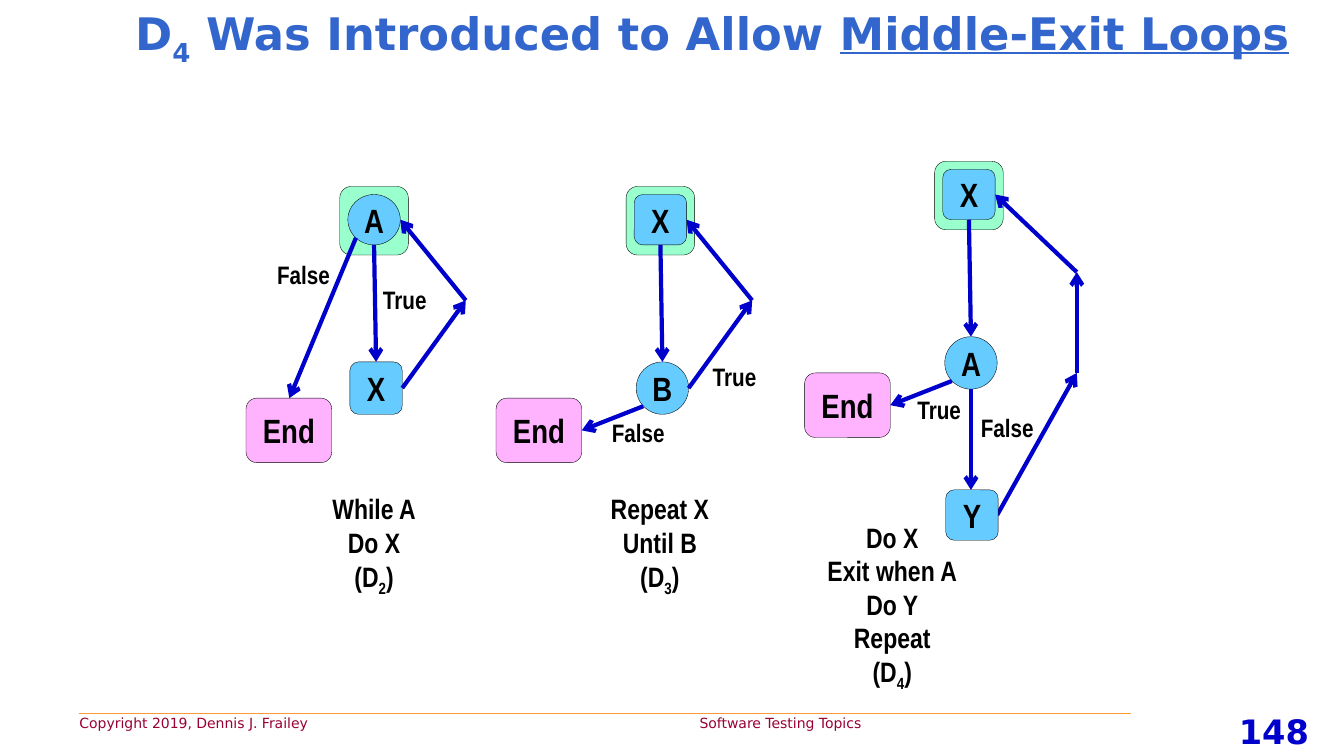
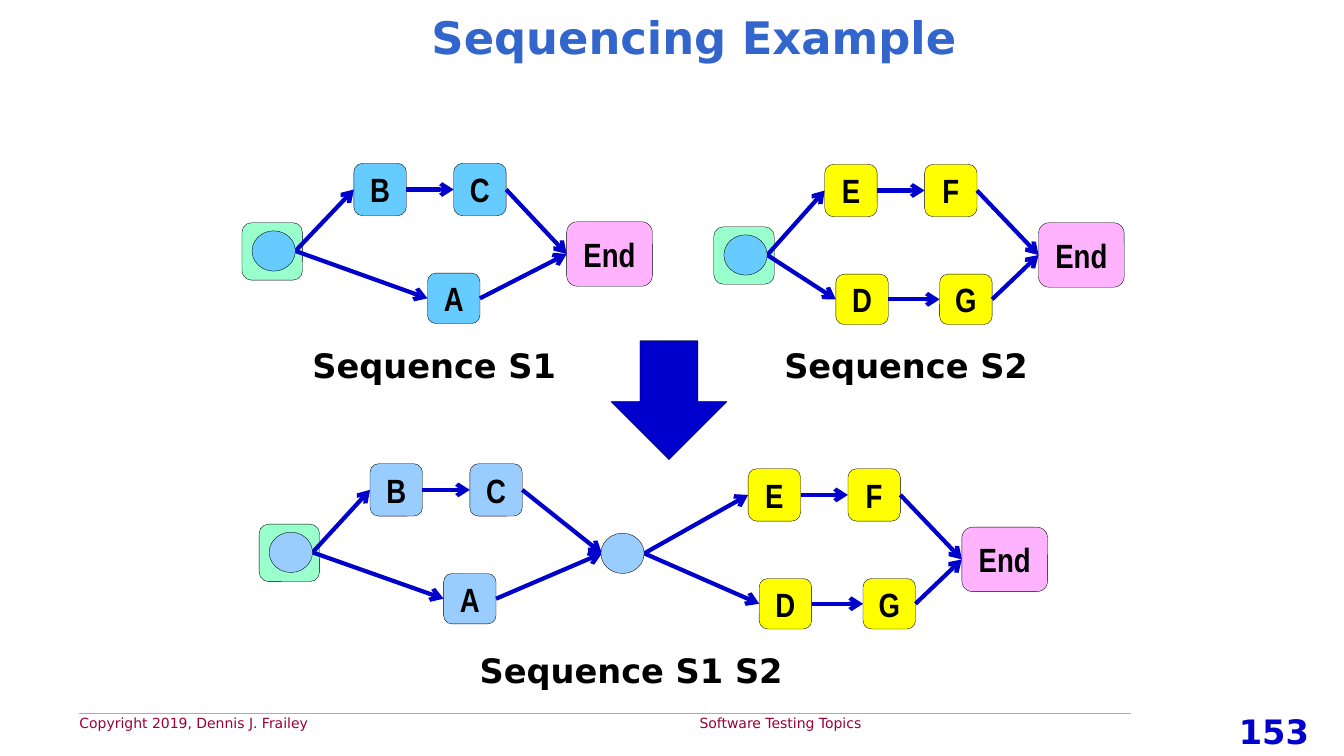
from dataclasses import dataclass
from typing import Any

from lxml.etree import SubElement as Sub
from pptx import Presentation as Deck
from pptx.dml.color import RGBColor as RGB
from pptx.enum.shapes import MSO_CONNECTOR as Wire, MSO_SHAPE as Form
from pptx.enum.text import MSO_ANCHOR as Anchor, PP_ALIGN as Align
from pptx.oxml.ns import qn
from pptx.util import Pt

PX = 9144
BLACK = RGB(0, 0, 0)
NAVY = RGB(0, 0, 0xCC)
BLUE = RGB(0x33, 0x66, 0xCC)
WINE = RGB(0x99, 0, 0x33)
GOLD = RGB(0xFF, 0x99, 0x33)
MINT = RGB(0x99, 0xFF, 0xCC)
PINK = RGB(0xFF, 0xB3, 0xFF)
SKY = RGB(0x66, 0xCC, 0xFF)
PALE = RGB(0x99, 0xCC, 0xFF)
LEMON = RGB(0xFF, 0xFF, 0)

WIDE, SLIM = "DejaVu Sans", "Arial Narrow"
TITLE = dict(name=WIDE, size=Pt(32), bold=True, color=BLUE)
NOTE = dict(name=WIDE, size=Pt(10), color=WINE)
PAGE = dict(name=WIDE, size=Pt(24), bold=True, color=NAVY)
HEAD = dict(PAGE, color=BLACK)
NODE = dict(name=SLIM, size=Pt(24), bold=True, color=BLACK)
TAG = dict(NODE, size=Pt(18))
CODE = dict(NODE, size=Pt(20))
LOW = dict(sub=True)


def style(run, form):
    for key, val in form.items():
        if key == "color":
            run.font.color.rgb = val
        elif key == "sub":
            run._r.get_or_add_rPr().set("baseline", "-25000")
        else:
            setattr(run.font, key, val)


def write(frame, lines, form, align=Align.LEFT, tab=0):
    for num, line in enumerate(lines):
        par = frame.add_paragraph() if num else frame.paragraphs[0]
        par.alignment = align
        parts, pad = line if isinstance(line, tuple) else (line, 0)
        prop = par._p.get_or_add_pPr()
        if pad:
            prop.set("marR", str(pad * PX))
        if tab:
            stops = Sub(prop, qn("a:tabLst"))
            Sub(stops, qn("a:tab"), pos=str(tab * PX), algn="l")
        for part in [parts] if isinstance(parts, str) else parts:
            words, more = (part, {}) if isinstance(part, str) else part
            run = par.add_run()
            run.text = words
            style(run, form | more)


@dataclass
class Pen:
    slide: Any
    x: int = 0
    y: int = 0

    def spot(self, x, y):
        return (self.x + x) * PX, (self.y + y) * PX

    def shape(self, kind, x, y, w, h, fill, words=""):
        item = self.slide.shapes.add_shape(kind, *self.spot(x, y), w * PX, h * PX)
        item.shadow.inherit = False
        item.fill.solid()
        item.fill.fore_color.rgb = fill
        item.line.color.rgb = BLACK
        item.line.width = Pt(0.25)
        if words:
            frame = item.text_frame
            frame.word_wrap = False
            frame.vertical_anchor = Anchor.MIDDLE
            for side in ("left", "right", "top", "bottom"):
                setattr(frame, f"margin_{side}", 0)
            write(frame, [words], NODE, Align.CENTER)

    def text(self, x, y, w, h, lines, form, wrap=False, anchor=Anchor.TOP, **more):
        item = self.slide.shapes.add_textbox(*self.spot(x, y), w * PX, h * PX)
        frame = item.text_frame
        frame.word_wrap = wrap
        frame.vertical_anchor = anchor
        write(frame, lines, form, **more)

    def line(self, start, stop, color=NAVY, width=3, arrow=True):
        item = self.slide.shapes.add_connector(
            Wire.STRAIGHT, *self.spot(*start), *self.spot(*stop))
        item.line.color.rgb = color
        item.line.width = Pt(width)
        prop = item._element.spPr
        if arrow:
            Sub(prop.get_or_add_ln(), qn("a:tailEnd"), type="arrow")
        Sub(prop, qn("a:effectLst"))

    def route(self, *spots):
        for start, stop in zip(spots, spots[1:]):
            self.line(start, stop)


def base(deck, title, left, page):
    pen = Pen(deck.slides.add_slide(deck.slide_layouts[6]))
    pen.line((78, 708), (1122, 708), GOLD, 0.75, False)
    pen.text(69, 704, 1064, 27,
             ["Copyright 2019, Dennis J. Frailey\tSoftware Testing Topics"],
             NOTE, wrap=True, tab=615)
    pen.text(1193, 700, 141, 50, [page], PAGE, wrap=True, align=Align.CENTER)
    pen.text(left, 0, 1187, 73, [title], TITLE, wrap=True,
             anchor=Anchor.MIDDLE, align=Align.CENTER)
    return pen


def loop(slide, x, y, head, foot, end, leave, back, tags):
    pen = Pen(slide, x, y)
    pen.shape(Form.ROUNDED_RECTANGLE, 0, 0, 68, 68, MINT)
    pen.shape(Form.ROUNDED_RECTANGLE, end, 210, 85, 64, PINK, "End")
    for (kind, name), left, top, high in ((head, 8, 8, 50), (foot, 10, 174, 52)):
        pen.shape(kind, left, top, 52, high, SKY, name)
    pen.route(*back, (60, 33))
    pen.route(*leave)
    pen.route((34, 58), (36, 174))
    for (name, left, top), wide in zip(tags, (67, 78)):
        pen.text(left, top, wide, 40, [name], TAG)
    return pen


def code(pen, x, y, w, h, lines, mark):
    last = ["(D", (mark, LOW), ")"]
    pen.text(x, y, w, h, lines + [last], CODE, wrap=True, align=Align.CENTER)


def exits(deck):
    title = ["D", ("4", LOW), " Was Introduced to Allow ",
             ("Middle-Exit Loops", dict(underline=True))]
    slide = base(deck, title, 113, "148").slide
    ring, card = Form.OVAL, Form.ROUNDED_RECTANGLE
    side = (17, 218), (-44, 242)
    turn = (62, 200), (125, 113)

    pen = loop(slide, 337, 185, (ring, "A"), (card, "X"), -93,
               ((16, 51), (-50, 210)), turn,
               (("True", 33, 92), ("False", -72, 67)))
    code(pen, -43, 298, 159, 111, [("While A", 5), "Do X"], "2")

    pen = loop(slide, 621, 185, (card, "X"), (ring, "B"), -129, side, turn,
               (("True", 76, 169), ("False", -24, 224)))
    code(pen, -46, 298, 159, 111, ["Repeat X Until B"], "3")

    pen = loop(slide, 927, 160, (card, "X"), (ring, "A"), -129, side,
               ((62, 351), (141, 210), (141, 110)),
               (("True", -27, 226), ("False", 36, 244)))
    pen.route((36, 226), (36, 326))
    pen.shape(card, 11, 326, 52, 50, SKY, "Y")
    code(pen, -173, 351, 274, 178,
         [("Do X", 12), ("Exit when A", 12), ("Do Y", 12), "Repeat"], "4")


def fork(slide, x, y, tops, lows, fill, ring, start, goal, halo=True, end=True):
    pen = Pen(slide, x, y)
    left, top = start
    if halo:
        pen.shape(Form.ROUNDED_RECTANGLE, left - 53, top - 28, 60, 57, MINT)
    if end:
        pen.shape(Form.ROUNDED_RECTANGLE, goal[0], goal[1] - 32, 85, 64, PINK, "End")
    for row, down, high in ((tops, 0, 52), (lows, 109, 50)):
        mid = down + high // 2
        spot = start
        for name, over in row:
            pen.line(spot, (over, mid))
            pen.shape(Form.ROUNDED_RECTANGLE, over, down, 52, high, fill, name)
            spot = over + 52, mid
        pen.line(spot, goal)
    pen.shape(Form.OVAL, left - 43, top - 20, 43, 40, ring)


def chain(deck):
    pen = base(deck, "Sequencing Example", 95, "153")
    slide = pen.slide
    one = [("B", 0), ("C", 99)], [("A", 73)]
    two = [("E", 0), ("F", 99)], [("D", 11), ("G", 114)]
    fork(slide, 351, 162, *one, SKY, SKY, (-58, 87), (211, 90))
    fork(slide, 818, 163, *two, LEMON, SKY, (-57, 90), (212, 90))
    fork(slide, 367, 460, *one, PALE, PALE, (-57, 88), (230, 89), end=False)
    fork(slide, 742, 465, *two, LEMON, PALE, (-103, 84), (212, 90), halo=False)
    pen.shape(Form.DOWN_ARROW, 606, 338, 115, 118, NAVY)
    for name, x, y, w in (("S1", 300, 337, 262), ("S2", 768, 337, 262),
                          ("S1 S2", 466, 640, 333)):
        pen.text(x, y, w, 50, [f"Sequence {name}"], HEAD)


def main():
    deck = Deck()
    deck.slide_width, deck.slide_height = 1333 * PX, 750 * PX
    exits(deck)
    chain(deck)
    deck.save("out.pptx")


if __name__ == "__main__":
    main()
